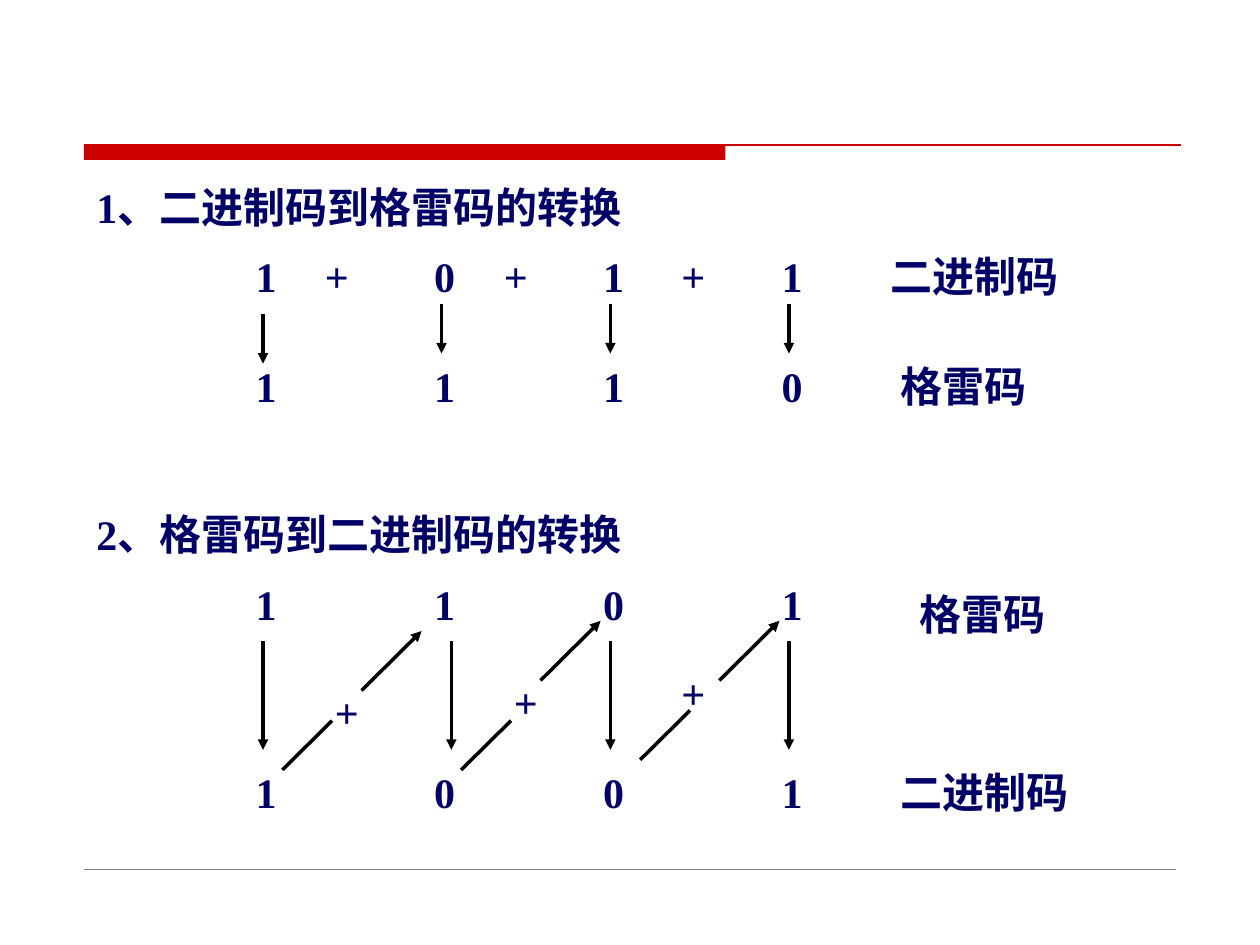
from dataclasses import dataclass

from lxml import etree
from pptx import Presentation
from pptx.dml.color import RGBColor
from pptx.enum.shapes import MSO_CONNECTOR, MSO_SHAPE
from pptx.enum.text import MSO_AUTO_SIZE
from pptx.oxml.ns import qn
from pptx.slide import Slide
from pptx.util import Pt

COLORS = {"band": "CC0000", "footer": "808080", "text": "000066", "arrow": "000000"}
FONT = "Times New Roman"
COLUMNS = [139, 241, 337.5, 439.5]
ARROW_OFFSET = 11.3
DIGIT_WIDTH = 34
HEADING_WIDTH = 641


@dataclass
class Label:
    text: str
    left: float
    top: float
    width: float = DIGIT_WIDTH


@dataclass
class Stroke:
    x1: float
    y1: float
    x2: float
    y2: float
    color: str = "arrow"
    weight: float = 2
    arrowhead: bool = True


def draw_label(slide: Slide, label: Label) -> None:
    box = slide.shapes.add_textbox(Pt(label.left), Pt(label.top), Pt(label.width), Pt(36))
    frame = box.text_frame
    frame.word_wrap = True
    frame.auto_size = MSO_AUTO_SIZE.SHAPE_TO_FIT_TEXT
    run = frame.paragraphs[0].add_run()
    run.text = label.text
    run.font.name = FONT
    run.font.size = Pt(24)
    run.font.bold = True
    run.font.color.rgb = RGBColor.from_string(COLORS["text"])


def draw_stroke(slide: Slide, stroke: Stroke) -> None:
    connector = slide.shapes.add_connector(
        MSO_CONNECTOR.STRAIGHT, Pt(stroke.x1), Pt(stroke.y1), Pt(stroke.x2), Pt(stroke.y2)
    )
    connector.line.color.rgb = RGBColor.from_string(COLORS[stroke.color])
    connector.line.width = Pt(stroke.weight)
    if stroke.arrowhead:
        etree.SubElement(connector.line._get_or_add_ln(), qn("a:tailEnd"), type="triangle")
    etree.SubElement(connector._element.spPr, qn("a:effectLst"))


def draw_frame(slide: Slide) -> None:
    band = slide.shapes.add_shape(MSO_SHAPE.RECTANGLE, Pt(48), Pt(82.8), Pt(366.5), Pt(8.6))
    band.shadow.inherit = False
    band.fill.solid()
    band.fill.fore_color.rgb = RGBColor.from_string(COLORS["band"])
    band.line.fill.background()
    draw_stroke(slide, Stroke(48, 82.8, 674.6, 82.8, "band", 0.75, False))
    draw_stroke(slide, Stroke(48, 496.8, 672, 496.8, "footer", 0.25, False))


def draw_digits(slide: Slide, digits: str, top: float) -> None:
    for digit, left in zip(digits, COLUMNS):
        draw_label(slide, Label(digit, left, top))


def draw_binary_to_gray(slide: Slide) -> None:
    draw_label(slide, Label("1、二进制码到格雷码的转换", 48, 100, HEADING_WIDTH))
    draw_digits(slide, "1011", 139.7)
    draw_digits(slide, "1110", 202.3)
    for plus_left in (178.6, 280.8, 382.3):
        draw_label(slide, Label("+", plus_left, 139.7))
    for left, top in zip(COLUMNS, (179.3, 173.5, 173.5, 173.5)):
        x = left + ARROW_OFFSET
        draw_stroke(slide, Stroke(x, top, x, top + 28.5))
    draw_label(slide, Label("二进制码", 501.8, 139.7, 136))
    draw_label(slide, Label("格雷码", 507.6, 202.3, 108))


def draw_gray_to_binary(slide: Slide) -> None:
    draw_label(slide, Label("2、格雷码到二进制码的转换", 48, 287.3, HEADING_WIDTH))
    draw_digits(slide, "1101", 326.9)
    draw_digits(slide, "1001", 434.2)
    pluses = [Label("+", 184.3, 388.8), Label("+", 286.6, 383), Label("+", 382.3, 378)]
    for plus in pluses:
        draw_label(slide, plus)
    for left, shift in zip(COLUMNS, (0, 5.6, 0, 0)):
        x = left + ARROW_OFFSET + shift
        draw_stroke(slide, Stroke(x, 366.5, x, 428.5))
    for x, y in ((206.6, 394.6), (308.9, 388.8), (411.1, 388.8)):
        draw_stroke(slide, Stroke(x, y, x + 34.3, y - 34))
    for x, y in ((161.3, 440), (263.5, 440), (365.8, 434.2)):
        draw_stroke(slide, Stroke(x, y, x + 28.5, y - 28.2, arrowhead=False))
    draw_label(slide, Label("格雷码", 518.4, 332.6, 108))
    draw_label(slide, Label("二进制码", 507.6, 434.2, 136))


def main() -> None:
    presentation = Presentation()
    presentation.slide_width = Pt(720)
    presentation.slide_height = Pt(540)
    slide = presentation.slides.add_slide(presentation.slide_layouts[6])
    draw_frame(slide)
    draw_binary_to_gray(slide)
    draw_gray_to_binary(slide)
    presentation.save("out.pptx")


if __name__ == "__main__":
    main()
